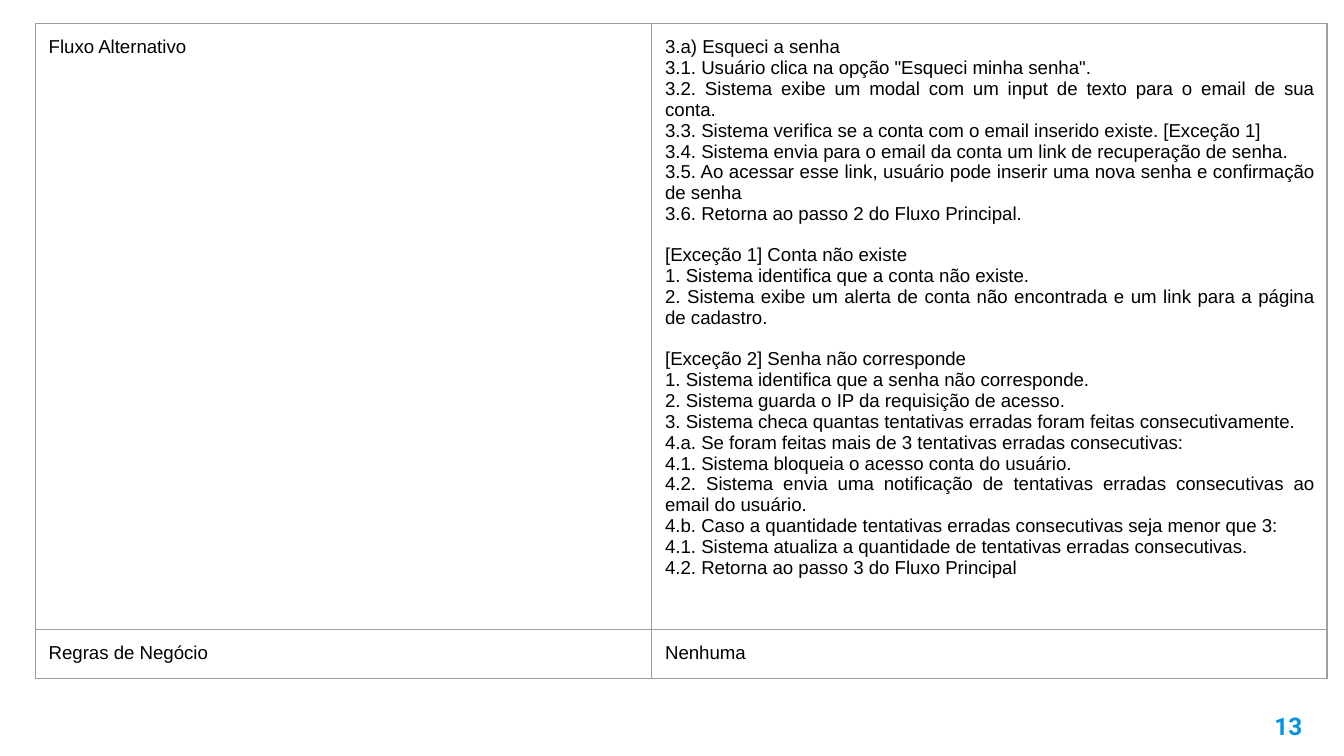
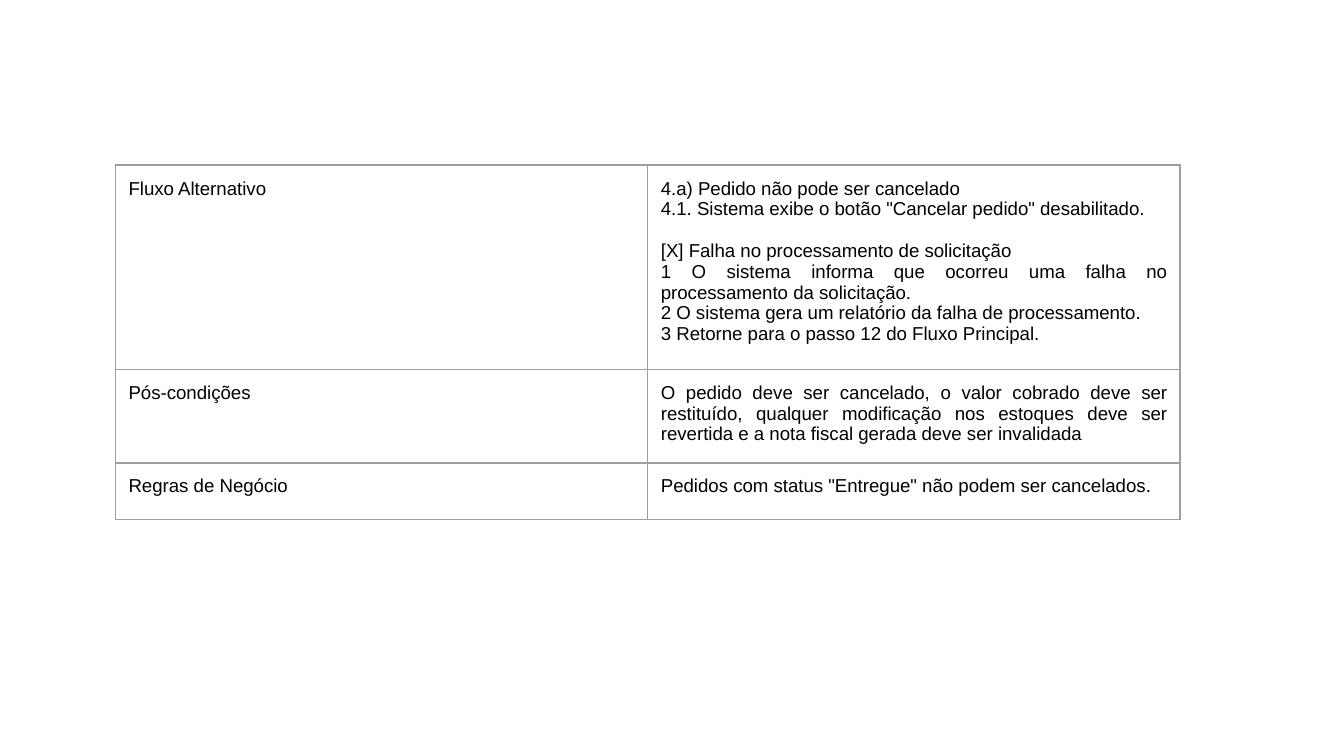
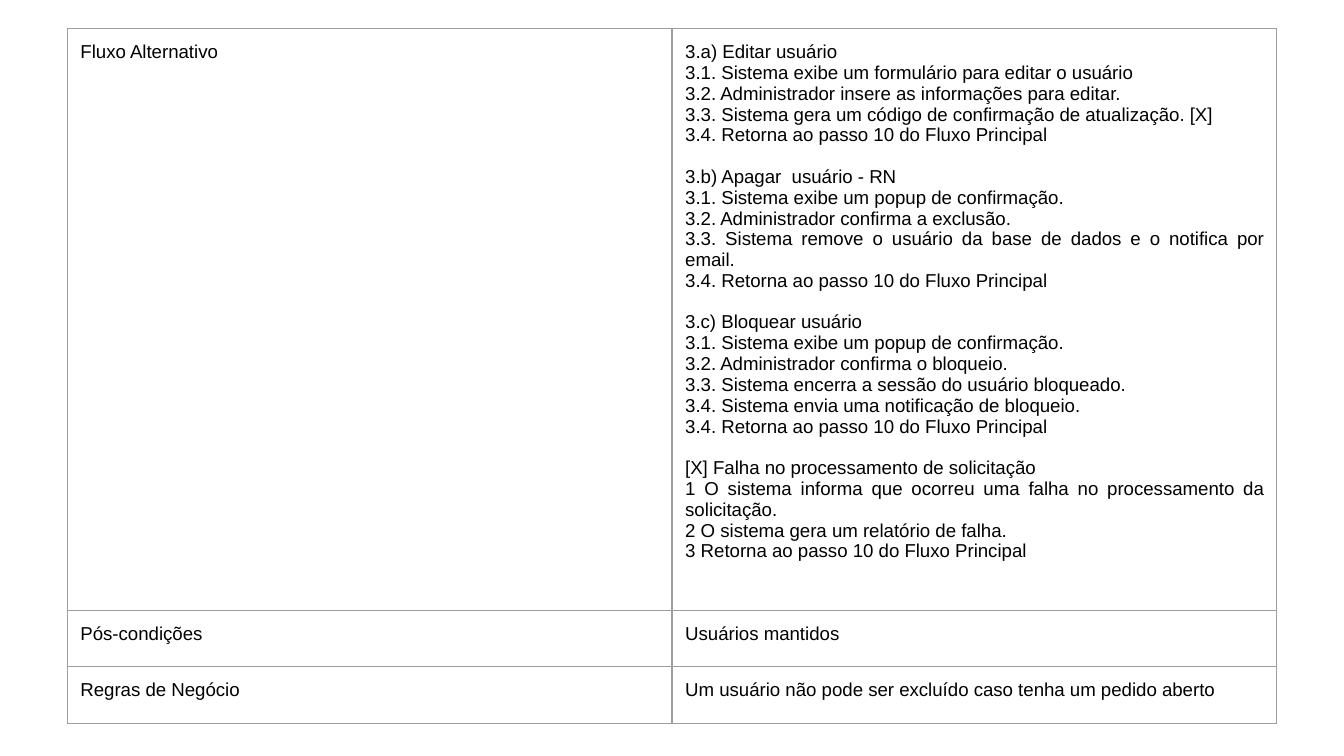
from lxml.etree import SubElement
from pptx import Presentation
from pptx.dml.color import RGBColor
from pptx.enum.text import MSO_ANCHOR, PP_ALIGN
from pptx.oxml.ns import qn
from pptx.util import Cm, Pt

COLORS = {"text": "000000", "border": "9E9E9E", "number": "0091EA"}
CELL_FONT = {"name": "Arial", "size": Pt(10), "bold": False}
NUMBER_FONT = {"name": "Roboto", "size": Pt(13), "bold": True}
INSET = Cm(0.25)
INSETS = ("margin_left", "margin_top", "margin_right", "margin_bottom")
BORDER_WIDTH = Pt(0.75)
GROUP_GAP = Pt(11)
BLANK_LAYOUT = 6

FLOW, OUTCOME, RULES = "Fluxo Alternativo", "Pós-condições", "Regras de Negócio"

# Each row is a label, its least height in cm and its groups of lines.
LOGIN = [
    (FLOW, 1.07, [
        ["3.a) Esqueci a senha",
         '3.1. Usuário clica na opção "Esqueci minha senha".',
         "3.2. Sistema exibe um modal com um input de texto para o email de sua conta.",
         "3.3. Sistema verifica se a conta com o email inserido existe. [Exceção 1]",
         "3.4. Sistema envia para o email da conta um link de recuperação de senha.",
         "3.5. Ao acessar esse link, usuário pode inserir uma nova senha e confirmação de senha",
         "3.6. Retorna ao passo 2 do Fluxo Principal."],
        ["[Exceção 1] Conta não existe",
         "1. Sistema identifica que a conta não existe.",
         "2. Sistema exibe um alerta de conta não encontrada e um link para a página de cadastro."],
        ["[Exceção 2] Senha não corresponde",
         "1. Sistema identifica que a senha não corresponde.",
         "2. Sistema guarda o IP da requisição de acesso.",
         "3. Sistema checa quantas tentativas erradas foram feitas consecutivamente.",
         "4.a. Se foram feitas mais de 3 tentativas erradas consecutivas:",
         "4.1. Sistema bloqueia o acesso conta do usuário.",
         "4.2. Sistema envia uma notificação de tentativas erradas consecutivas ao email do usuário.",
         "4.b. Caso a quantidade tentativas erradas consecutivas seja menor que 3:",
         "4.1. Sistema atualiza a quantidade de tentativas erradas consecutivas.",
         "4.2. Retorna ao passo 3 do Fluxo Principal"],
    ]),
    (RULES, 0.84, [["Nenhuma"]]),
]

CANCEL_ORDER = [
    (FLOW, 1.07, [
        ["4.a) Pedido não pode ser cancelado",
         '4.1. Sistema exibe o botão "Cancelar pedido" desabilitado.'],
        ["[X] Falha no processamento de solicitação",
         "1 O sistema informa que ocorreu uma falha no processamento da solicitação.",
         "2 O sistema gera um relatório da falha de processamento.",
         "3 Retorne para o passo 12 do Fluxo Principal."],
    ]),
    (OUTCOME, 1.07, [
        ["O pedido deve ser cancelado, o valor cobrado deve ser restituído, "
         "qualquer modificação nos estoques deve ser revertida e a nota fiscal "
         "gerada deve ser invalidada"],
    ]),
    (RULES, 1.07, [['Pedidos com status "Entregue" não podem ser cancelados.']]),
]

MANAGE_USERS = [
    (FLOW, 1.07, [
        ["3.a) Editar usuário",
         "3.1. Sistema exibe um formulário para editar o usuário",
         "3.2. Administrador insere as informações para editar.",
         "3.3. Sistema gera um código de confirmação de atualização. [X]",
         "3.4. Retorna ao passo 10 do Fluxo Principal"],
        ["3.b) Apagar  usuário - RN",
         "3.1. Sistema exibe um popup de confirmação.",
         "3.2. Administrador confirma a exclusão.",
         "3.3. Sistema remove o usuário da base de dados e o notifica por email.",
         "3.4. Retorna ao passo 10 do Fluxo Principal"],
        ["3.c) Bloquear usuário",
         "3.1. Sistema exibe um popup de confirmação.",
         "3.2. Administrador confirma o bloqueio.",
         "3.3. Sistema encerra a sessão do usuário bloqueado.",
         "3.4. Sistema envia uma notificação de bloqueio.",
         "3.4. Retorna ao passo 10 do Fluxo Principal"],
        ["[X] Falha no processamento de solicitação",
         "1 O sistema informa que ocorreu uma falha no processamento da solicitação.",
         "2 O sistema gera um relatório de falha.",
         "3 Retorna ao passo 10 do Fluxo Principal"],
    ]),
    (OUTCOME, 1.07, [["Usuários mantidos"]]),
    (RULES, 1.07, [["Um usuário não pode ser excluído caso tenha um pedido aberto"]]),
]

# Left, top and column widths in cm.
PAGES = [
    {"rows": LOGIN, "at": (0.67, 0.45), "columns": (11.65, 12.76), "number": "13"},
    {"rows": CANCEL_ORDER, "at": (2.18, 3.12), "columns": (10.06, 10.06)},
    {"rows": MANAGE_USERS, "at": (1.27, 0.54), "columns": (11.43, 11.43)},
]


def set_values(target, values):
    for name, value in values.items():
        setattr(target, name, value)


def write_line(para, text, font, color, align):
    para.alignment = align
    span = para.add_run()
    span.text = text
    set_values(span.font, font)
    span.font.color.rgb = RGBColor.from_string(COLORS[color])


def add_borders(cell):
    properties = cell._tc.get_or_add_tcPr()
    for side in ("lnL", "lnR", "lnT", "lnB"):
        line = SubElement(properties, qn(f"a:{side}"), w=str(BORDER_WIDTH))
        fill = SubElement(line, qn("a:solidFill"))
        SubElement(fill, qn("a:srgbClr"), val=COLORS["border"])


def fill_cell(cell, groups, align):
    set_values(cell, dict.fromkeys(INSETS, INSET))
    add_borders(cell)
    cell.fill.background()
    frame = cell.text_frame
    para = frame.paragraphs[0]
    for group_index, group in enumerate(groups):
        for line_index, text in enumerate(group):
            if group_index or line_index:
                para = frame.add_paragraph()
            if group_index and not line_index:
                para.space_before = GROUP_GAP
            write_line(para, text, CELL_FONT, "text", align)


def add_use_case(page, rows, at, columns):
    left, top = at
    height = sum(row_height for _, row_height, _ in rows)
    table = page.shapes.add_table(
        len(rows), len(columns), Cm(left), Cm(top), Cm(sum(columns)), Cm(height)
    ).table
    set_values(table, {"first_row": False, "horz_banding": False})
    for column, width in zip(table.columns, columns):
        column.width = Cm(width)
    for row, (label, row_height, groups) in zip(table.rows, rows):
        row.height = Cm(row_height)
        label_cell, detail_cell = row.cells
        fill_cell(label_cell, [[label]], PP_ALIGN.LEFT)
        fill_cell(detail_cell, groups, PP_ALIGN.JUSTIFY)


def add_page_number(page, number):
    box = page.shapes.add_textbox(Cm(23.34), Cm(13.18), Cm(1.52), Cm(1.09))
    frame = box.text_frame
    set_values(frame, dict.fromkeys(INSETS, INSET))
    set_values(frame, {"word_wrap": True, "vertical_anchor": MSO_ANCHOR.MIDDLE})
    write_line(frame.paragraphs[0], number, NUMBER_FONT, "number", PP_ALIGN.RIGHT)


def main():
    deck = Presentation()
    set_values(deck, {"slide_width": Cm(25.4), "slide_height": Cm(14.29)})
    for content in PAGES:
        page = deck.slides.add_slide(deck.slide_layouts[BLANK_LAYOUT])
        if "number" in content:
            add_page_number(page, content["number"])
        add_use_case(page, content["rows"], content["at"], content["columns"])
    deck.save("out.pptx")


if __name__ == "__main__":
    main()
